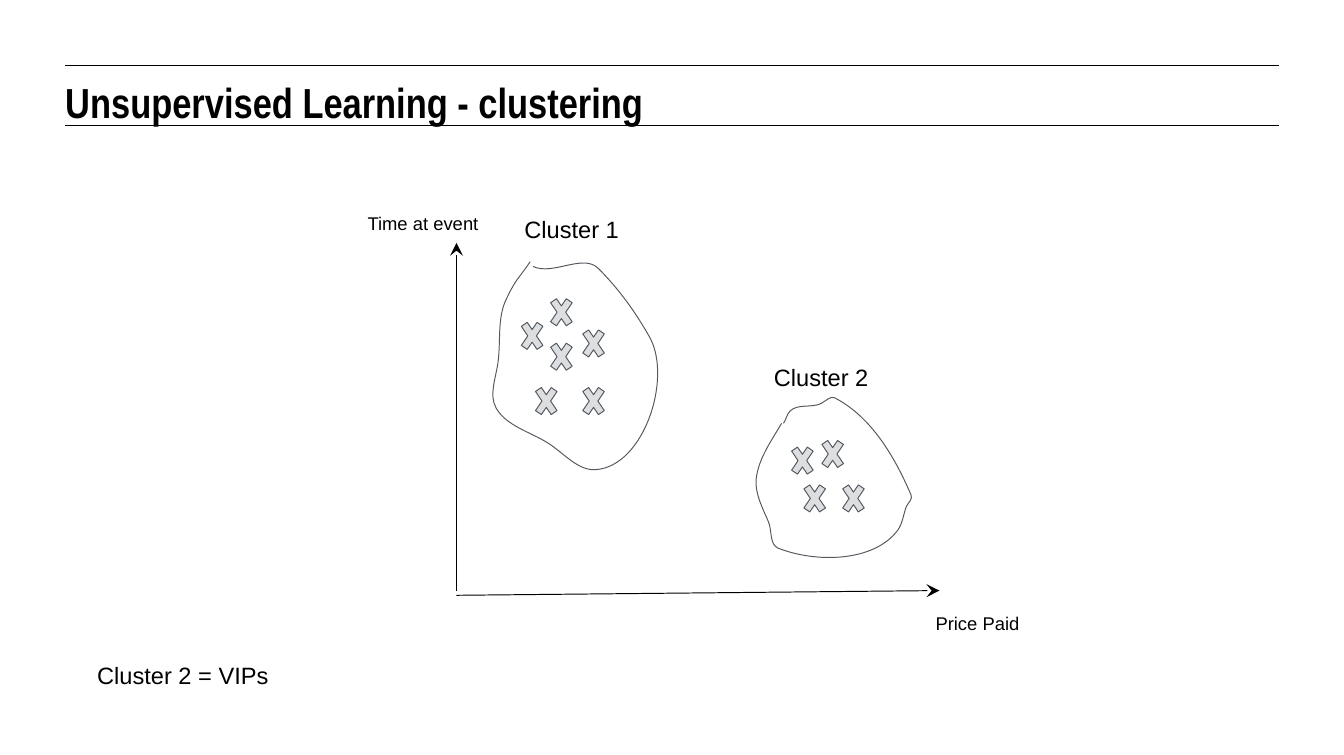
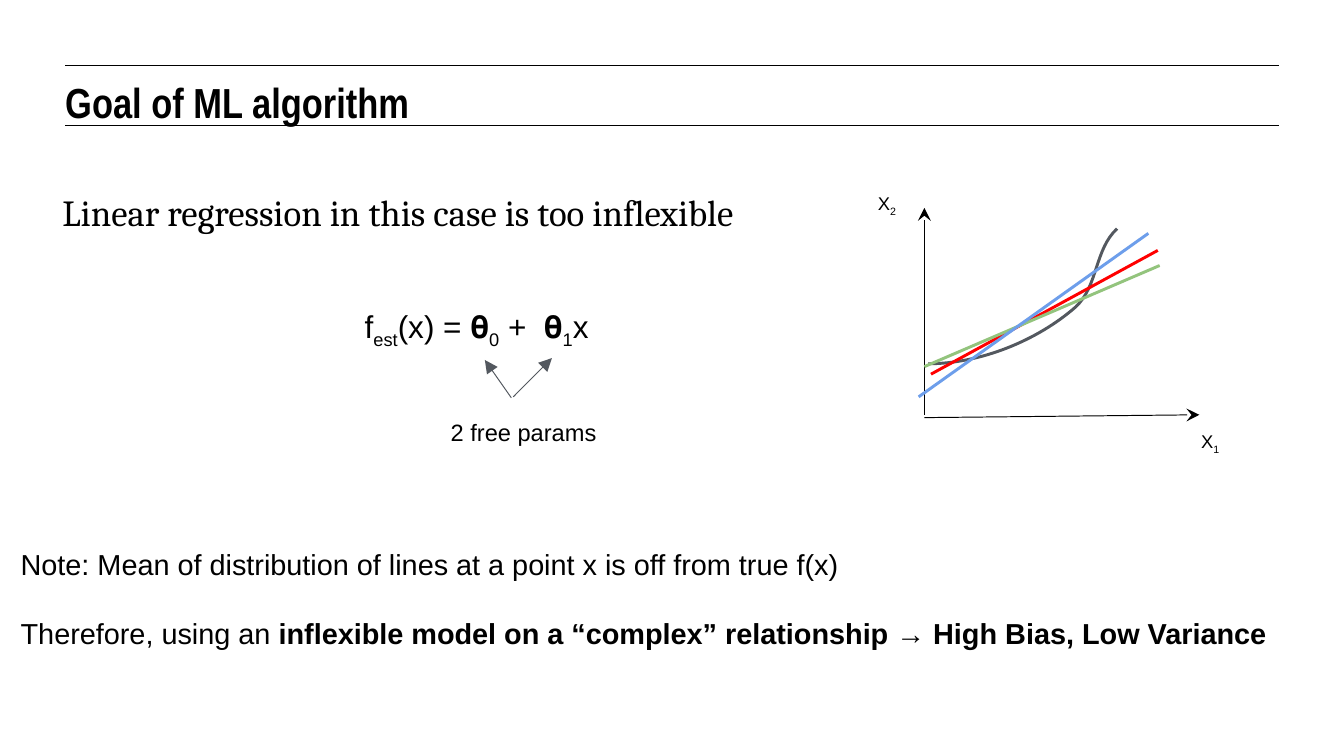
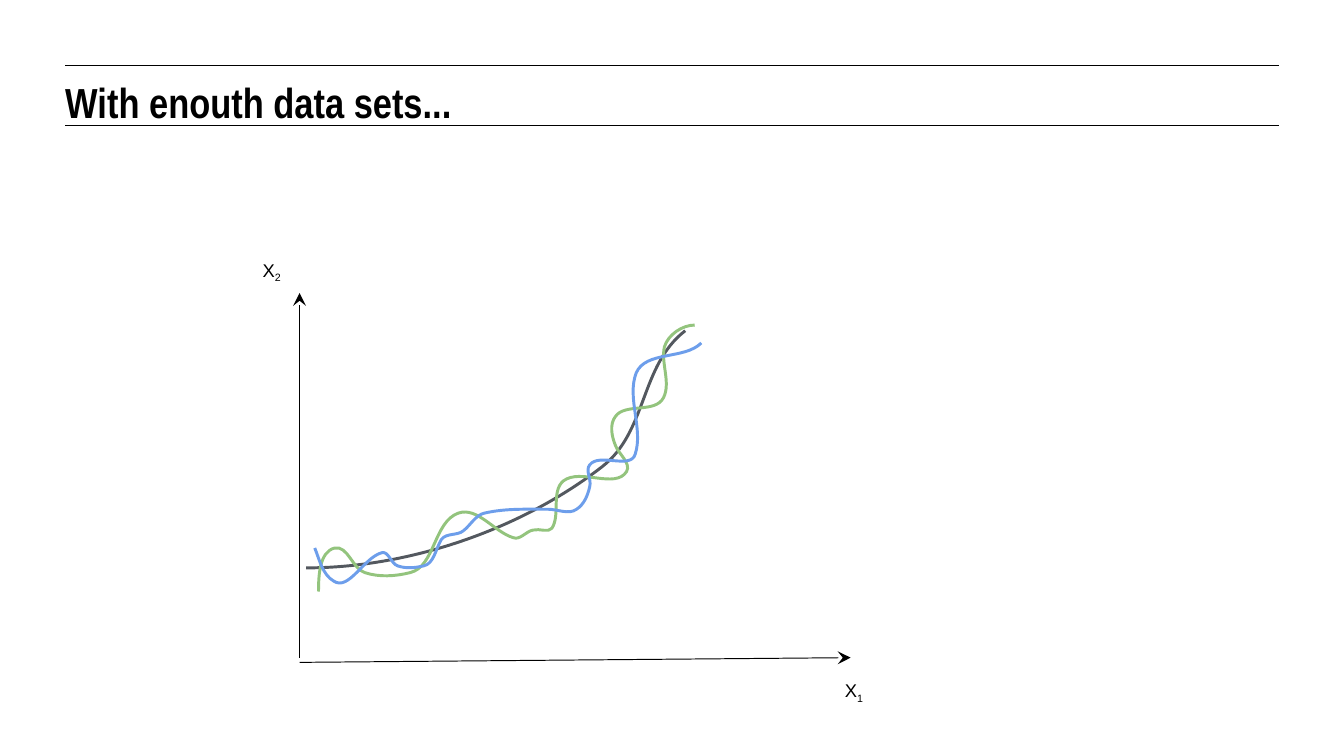
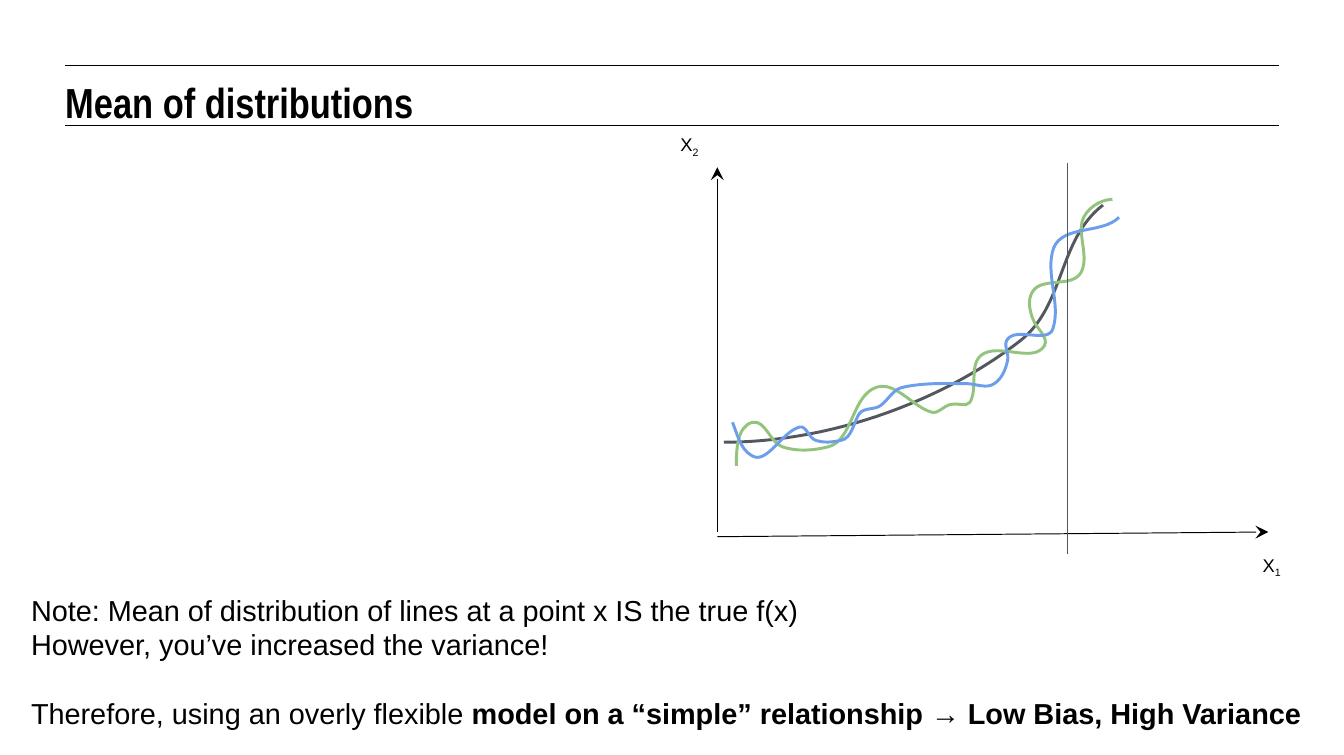
from lxml.etree import SubElement
from pptx import Presentation
from pptx.dml.color import RGBColor
from pptx.enum.shapes import MSO_CONNECTOR, MSO_SHAPE
from pptx.enum.text import MSO_ANCHOR, MSO_AUTO_SIZE, PP_ALIGN
from pptx.oxml.ns import qn
from pptx.util import Pt

# Shared look: 100 px to the inch
PX = 9144
WIDTH, HEIGHT = 1422, 799
BLACK, SLATE, GREY = "000000", "53585F", "DCDEE0"
RED, GREEN, BLUE = "FF0000", "93C47D", "6D9EEB"
THIN, THICK = 0.75, 2.25
RULES = [69, 133]
RULE_LEFT, RULE_RIGHT = 69, 1353
TITLE_BOX = (69, 81, 1283, 47)
TITLE_ONLY, TITLE_AND_BODY = 5, 1

# Run attributes
PLAIN, BOLD, SUB = {}, {"b": "1"}, {"baseline": "-25000"}
WIDE = {"spc": "667"}
X1 = [("X", PLAIN), ("1", SUB)]
X2 = [("X", PLAIN), ("2", SUB)]

# Slide 1: clusters. Axes are (x, top, end, base, right)
CLUSTER_AXES = (483, 257, 625, 630, 994)
CROSS_SIZE = (32, 47)
CROSSES = [(578, 307), (547, 332), (612, 340), (578, 354), (562, 401),
           (612, 401), (846, 504), (887, 504), (865, 457), (833, 464)]
# Each outline is a start point followed by cubic Bézier triples
CLUSTER_OUTLINES = [
    [(561, 277), (548, 296), (546, 295), (536, 316), (526, 336), (530, 360), (527, 383),
     (525, 399), (517, 418), (525, 432), (536, 451), (561, 457), (580, 469),
     (596, 479), (612, 499), (631, 497), (681, 493), (711, 402), (688, 358),
     (673, 331), (655, 306), (633, 284), (617, 268), (585, 292), (564, 282)],
    [(827, 448), (816, 467), (802, 486), (800, 508), (799, 523), (807, 538), (813, 552),
     (817, 561), (814, 576), (823, 580), (863, 596), (925, 595), (950, 561),
     (955, 554), (956, 544), (959, 536), (961, 532), (966, 528), (964, 524),
     (947, 484), (922, 441), (883, 421), (879, 419), (874, 424), (869, 427),
     (859, 432), (844, 427), (836, 435), (832, 439), (832, 444), (829, 448)],
]
CLUSTER_LABELS = [
    ((980, 638, 236, 32), 14, "Price Paid"),
    ((379, 214, 152, 32), 14, "Time at event"),
    ((545, 217, 152, 32), 18, "Cluster 1"),
    ((809, 374, 197, 32), 18, "Cluster 2"),
    ((93, 689, 453, 47), 18, "Cluster 2 = VIPs"),
]

# Slide 2: straight fits
FIT_AXES = (978, 220, 439, 442, 1269)
FIT_AXIS_LABELS = [((1261, 446, 134, 19), X1), ((919, 194, 86, 19), X2)]
TRUE_CURVE = [(982, 385), (1038, 385), (1098, 360), (1138, 325),
              (1162, 303), (1158, 264), (1182, 242)]
FIT_LINES = [((985, 396), (1225, 265), RED), ((978, 388), (1227, 281), GREEN),
             ((972, 420), (1215, 247), BLUE)]
BODY_BOX = (66, 201, 791, 250)
BODY_TEXT = "Linear regression in this case is too inflexible"
FORMULA_BOX = (376, 315, 275, 66)
FORMULA = [("f", PLAIN), ("est", SUB), ("(x) = 𝛉", PLAIN), ("0", SUB), (" +", PLAIN),
           (" ", WIDE), ("𝛉", PLAIN), ("1", SUB), ("x", PLAIN)]
PARAM_ARROWS = [((541, 421), (513, 381)), ((543, 420), (584, 379))]
PARAM_LABEL = ((467, 432, 200, 47), 18, "2 free params")
BIAS_BOX = (12, 569, 1361, 131)
BIAS_NOTES = [
    [("Note: Mean of distribution of lines at a point x is off from true f(x)", PLAIN)],
    [("Therefore, using an ", PLAIN),
     ("inflexible model on a “complex” relationship → High Bias, Low Variance", BOLD)],
]

# Slides 3 and 4: the same wavy fits, moved
WAVY_AXES = (317, 310, 696, 701, 900)
WAVY_AXIS_LABELS = [((884, 709, 269, 33), X1), ((268, 264, 173, 33), X2)]
WAVY_CURVES = [
    (SLATE, [(324, 601), (438, 601), (556, 557), (637, 494),
             (685, 457), (677, 387), (725, 350)]),
    (GREEN, [(337, 626), (337, 609), (338, 584), (354, 580), (368, 577), (373, 602), (386, 606),
             (401, 611), (418, 610), (434, 606), (460, 600), (459, 552), (485, 543),
             (505, 536), (523, 563), (543, 569), (550, 572), (557, 562), (564, 561),
             (571, 559), (580, 564), (584, 559), (593, 545), (583, 520), (596, 509),
             (614, 495), (651, 518), (663, 499), (668, 490), (654, 480), (651, 471),
             (647, 461), (645, 449), (651, 441), (661, 426), (693, 438), (702, 421),
             (710, 405), (699, 384), (703, 367), (707, 354), (722, 344), (735, 344)]),
    (BLUE, [(333, 580), (338, 592), (341, 608), (353, 615), (369, 626), (385, 590), (404, 585),
            (411, 583), (414, 597), (421, 599), (430, 602), (439, 601), (448, 599),
            (459, 597), (461, 581), (467, 571), (472, 564), (484, 567), (490, 562),
            (498, 556), (503, 545), (513, 543), (535, 538), (558, 539), (580, 539),
            (590, 539), (602, 545), (610, 539), (618, 534), (622, 524), (624, 515),
            (626, 507), (619, 498), (624, 492), (634, 479), (667, 497), (672, 481),
            (681, 454), (663, 422), (673, 395), (683, 371), (724, 381), (742, 363)]),
]
MEAN_SHIFT = (442, -133)
MEAN_LINE = ((1129, 173), (1129, 586))
VARIANCE_BOX = (23, 617, 1422, 131)
VARIANCE_NOTES = [
    [("Note: Mean of distribution of lines at a point x IS the true f(x)", PLAIN)],
    [("However, you’ve increased the variance!", PLAIN)],
    [("Therefore, using an overly flexible", PLAIN),
     (" model on a “simple” relationship → Low Bias, High Variance", BOLD)],
]


def color(code):
    return RGBColor.from_string(code)


def emu(values):
    return [round(value * PX) for value in values]


def place(shape, box):
    shape.left, shape.top, shape.width, shape.height = emu(box)


def style_frame(frame, margin=0):
    frame.word_wrap = True
    frame.auto_size = MSO_AUTO_SIZE.NONE
    frame.vertical_anchor = MSO_ANCHOR.TOP
    frame.margin_left = frame.margin_right = margin * PX
    frame.margin_top = frame.margin_bottom = margin * PX


def style_para(para, font, size, bold=None):
    para.alignment = PP_ALIGN.LEFT
    para.space_before = Pt(0)
    for span in para.runs:
        span.font.name = font
        span.font.size = Pt(size)
        span.font.color.rgb = color(BLACK)
        if bold is not None:
            span.font.bold = bold


def fill_placeholder(shape, box, text, font, size, bold):
    place(shape, box)
    shape.text_frame.text = text
    style_frame(shape.text_frame)
    para = shape.text_frame.paragraphs[0]
    style_para(para, font, size, bold)
    return para


def add_page(deck, title, layout=TITLE_ONLY):
    page = deck.slides.add_slide(deck.slide_layouts[layout])
    fill_placeholder(page.shapes.title, TITLE_BOX, title, "Arial Narrow", 32, True)
    return page


def add_text(page, box, size, paras):
    """Each paragraph is a list of (text, run attributes)."""
    frame = page.shapes.add_textbox(*emu(box)).text_frame
    style_frame(frame, margin=10)
    for index, spans in enumerate(paras):
        para = frame.paragraphs[0] if index == 0 else frame.add_paragraph()
        for text, attributes in spans:
            span = para.add_run()
            span.text = text
            for name, value in attributes.items():
                span._r.get_or_add_rPr().set(name, value)
        style_para(para, "Arial", size)
    return frame


def add_label(page, box, size, text):
    add_text(page, box, size, [[(text, PLAIN)]])


def add_notes(page, box, paras):
    """Notes with one line of space above the conclusion."""
    frame = add_text(page, box, 22, paras)
    frame.paragraphs[-1].space_before = Pt(26)


def add_line(page, start, end, line_color=BLACK, width=THIN, head=None):
    line = page.shapes.add_connector(MSO_CONNECTOR.STRAIGHT, *emu(start), *emu(end))
    line.line.color.rgb = color(line_color)
    line.line.width = Pt(width)
    properties = line.element.spPr
    if head:
        SubElement(properties.find(qn("a:ln")), qn("a:tailEnd"), type=head, w="lg", len="lg")
    SubElement(properties, qn("a:effectLst"))
    return line


def bend(curve):
    """Turn each three line segments of a freeform into one cubic Bézier."""
    outline = next(curve.element.iter(qn("a:path")))
    segments = outline.findall(qn("a:lnTo"))
    for i in range(0, len(segments), 3):
        cubic = SubElement(outline, qn("a:cubicBezTo"))
        for segment in segments[i:i + 3]:
            cubic.append(segment[0])
            outline.remove(segment)


def add_curve(page, points, line_color=SLATE, width=THICK):
    start, *rest = [emu(point) for point in points]
    builder = page.shapes.build_freeform(*start)
    builder.add_line_segments(rest, close=False)
    curve = builder.convert_to_shape()
    bend(curve)
    curve.shadow.inherit = False
    curve.fill.background()
    curve.line.color.rgb = color(line_color)
    curve.line.width = Pt(width)


def add_axes(page, axes, labels=(), shift=(0, 0)):
    x, top, end, base, right = axes
    dx, dy = shift
    for start, tip in [((x, end), (x, top)), ((x, base), (right, end))]:
        add_line(page, (start[0] + dx, start[1] + dy), (tip[0] + dx, tip[1] + dy),
                 head="stealth")
    for (left, upper, width, height), spans in labels:
        add_text(page, (left + dx, upper + dy, width, height), 14, [spans])


def add_wavy_plot(page, shift=(0, 0)):
    add_axes(page, WAVY_AXES, WAVY_AXIS_LABELS, shift)
    for line_color, points in WAVY_CURVES:
        add_curve(page, [(x + shift[0], y + shift[1]) for x, y in points], line_color)


def add_title_rules(deck, page):
    """Draw the title rules, then hand them to the slide master."""
    for number, y in enumerate(RULES):
        rule = add_line(page, (RULE_LEFT, y), (RULE_RIGHT, y))
        rule.element.nvCxnSpPr.cNvPr.set("id", str(100 + number))
        deck.slide_master.shapes.element.append(rule.element)


def build_clusters(deck):
    page = add_page(deck, "Unsupervised Learning - clustering")
    add_title_rules(deck, page)
    add_axes(page, CLUSTER_AXES)
    for corner in CROSSES:
        cross = page.shapes.add_shape(MSO_SHAPE.MATH_MULTIPLY, *emu(corner + CROSS_SIZE))
        cross.adjustments[0] = 0.235
        cross.shadow.inherit = False
        cross.fill.solid()
        cross.fill.fore_color.rgb = color(GREY)
        cross.line.color.rgb = color(SLATE)
        cross.line.width = Pt(THIN)
    for outline in CLUSTER_OUTLINES:
        add_curve(page, outline, width=THIN)
    for label in CLUSTER_LABELS:
        add_label(page, *label)


def build_goal(deck):
    page = add_page(deck, "Goal of ML algorithm", TITLE_AND_BODY)
    para = fill_placeholder(page.placeholders[1], BODY_BOX, BODY_TEXT, "Cambria", 28, False)
    # Body line without bullet or indent
    properties = para._p.get_or_add_pPr()
    properties.set("marL", "0")
    properties.set("indent", "0")
    SubElement(properties, qn("a:buNone"))

    add_axes(page, FIT_AXES, FIT_AXIS_LABELS)
    add_curve(page, TRUE_CURVE)
    for start, end, line_color in FIT_LINES:
        add_line(page, start, end, line_color, THICK)
    add_notes(page, BIAS_BOX, BIAS_NOTES)
    add_text(page, FORMULA_BOX, 24, [FORMULA])
    for start, end in PARAM_ARROWS:
        add_line(page, start, end, SLATE, head="triangle")
    add_label(page, *PARAM_LABEL)


def build_data_sets(deck):
    add_wavy_plot(add_page(deck, "With enouth data sets..."))


def build_mean(deck):
    page = add_page(deck, "Mean of distributions")
    add_wavy_plot(page, MEAN_SHIFT)
    add_line(page, *MEAN_LINE, SLATE)
    add_notes(page, VARIANCE_BOX, VARIANCE_NOTES)


def main():
    deck = Presentation()
    deck.slide_width, deck.slide_height = emu((WIDTH, HEIGHT))
    for build in (build_clusters, build_goal, build_data_sets, build_mean):
        build(deck)
    deck.save("out.pptx")


if __name__ == "__main__":
    main()
